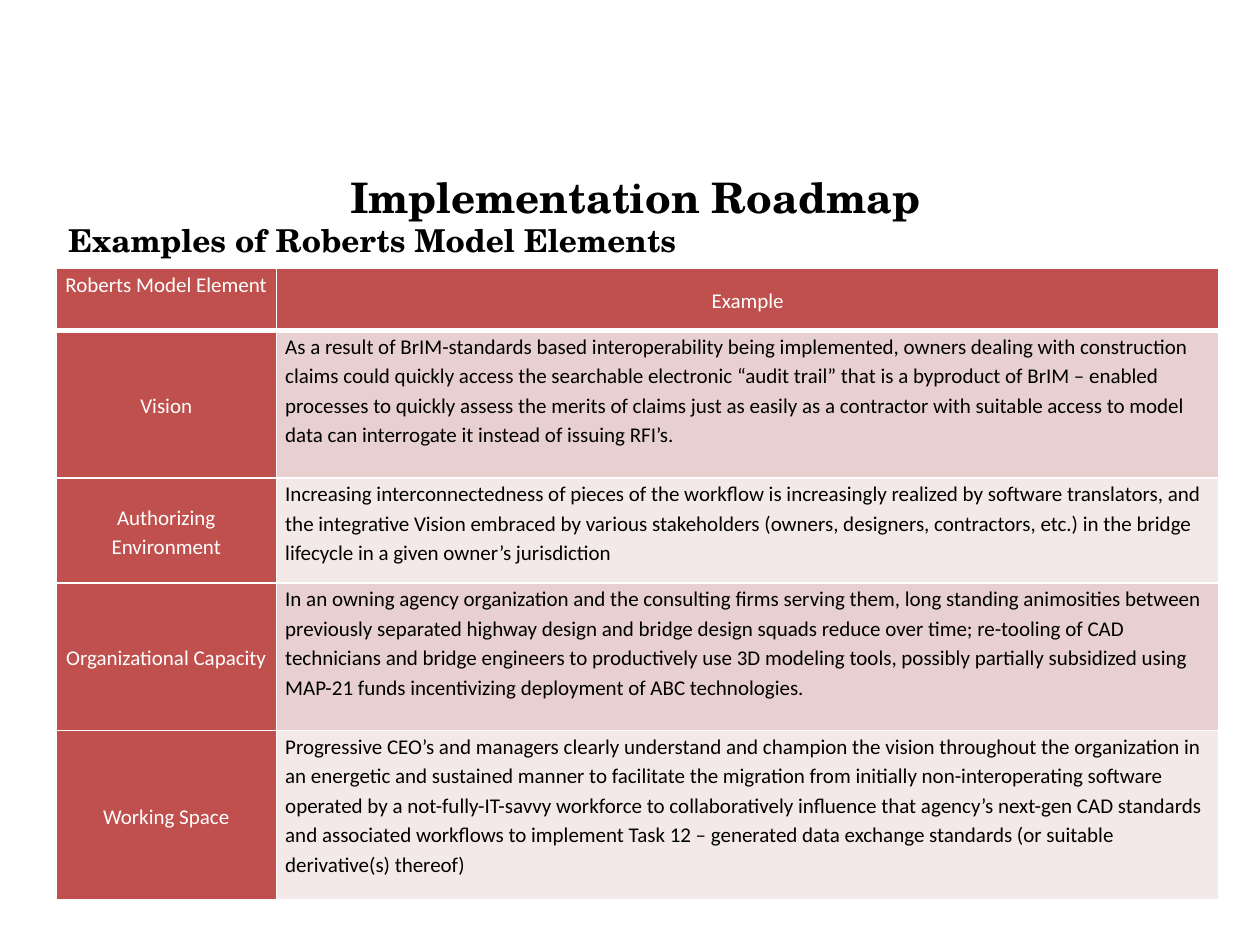
from dataclasses import dataclass

import pptx
import pptx.dml.color
import pptx.enum.text
import pptx.oxml
import pptx.oxml.ns
import pptx.util

Pt = pptx.util.Pt
ALIGN = pptx.enum.text.PP_ALIGN
ANCHOR = pptx.enum.text.MSO_ANCHOR

BLACK, WHITE, RED = "000000", "FFFFFF", "C0504D"
BANDS = ("E8D0D0", "F4E9E9")
HEADING_FONT, TABLE_FONT = "TeX Gyre Schola", "Calibri"


@dataclass
class Heading:
    text: str
    left: float
    top: float
    width: float
    height: float
    size: float
    align: ALIGN
    spacing: float


@dataclass
class Element:
    name: str
    example: str
    height: float


HEADINGS = [
    Heading("Implementation Roadmap", 48, 88.5, 630, 54, 24, ALIGN.CENTER, 1.2),
    Heading("Examples of Roberts Model Elements", 32, 122.5, 657, 29, 18, ALIGN.LEFT, 1.0),
]

ELEMENTS = [
    Element("Roberts Model Element", "Example", 35.5),
    Element(
        "Vision",
        "As a result of BrIM-standards based interoperability being implemented, owners "
        "dealing with construction claims could quickly access the searchable electronic "
        "“audit trail” that is a byproduct of BrIM – enabled processes to quickly assess "
        "the merits of claims just as easily as a contractor with suitable access to model "
        "data can interrogate it instead of issuing RFI’s.",
        84.3,
    ),
    Element(
        "Authorizing Environment",
        "Increasing interconnectedness of pieces of the workflow is increasingly realized "
        "by software translators, and the integrative Vision embraced by various "
        "stakeholders (owners, designers, contractors, etc.) in the bridge lifecycle in a "
        "given owner’s jurisdiction",
        60,
    ),
    Element(
        "Organizational Capacity",
        "In an owning agency organization and the consulting firms serving them, long "
        "standing animosities between previously separated highway design and bridge design "
        "squads reduce over time; re-tooling of CAD technicians and bridge engineers to "
        "productively use 3D modeling tools, possibly partially subsidized using MAP-21 "
        "funds incentivizing deployment of ABC technologies.",
        84.3,
    ),
    Element(
        "Working Space",
        "Progressive CEO’s and managers clearly understand and champion the vision "
        "throughout the organization in an energetic and sustained manner to facilitate the "
        "migration from initially non-interoperating software operated by a "
        "not-fully-IT-savvy workforce to collaboratively influence that agency’s next-gen "
        "CAD standards and associated workflows to implement Task 12 – generated data "
        "exchange standards (or suitable derivative(s) thereof)",
        96.5,
    ),
]
COLUMN_WIDTHS = (126, 538.5)


def colour(value: str) -> pptx.dml.color.RGBColor:
    return pptx.dml.color.RGBColor.from_string(value)


def apply(target, values: dict) -> None:
    for name, value in values.items():
        setattr(target, name, value)


def write(frame, text: str, font: dict, ink: str, align: ALIGN, spacing: float) -> None:
    para = frame.paragraphs[0]
    apply(para, {"alignment": align, "line_spacing": spacing})
    span = para.add_run()
    span.text = text
    apply(span.font, font)
    span.font.color.rgb = colour(ink)


def add_heading(page, heading: Heading) -> None:
    box = page.shapes.add_textbox(
        *map(Pt, (heading.left, heading.top, heading.width, heading.height)))
    box.text_frame.word_wrap = True
    font = {"name": HEADING_FONT, "size": Pt(heading.size), "bold": True}
    write(box.text_frame, heading.text, font, BLACK, heading.align, heading.spacing)


def add_borders(cell, bottom: float) -> None:
    properties = cell._tc.get_or_add_tcPr()
    widths = {"lnL": 1, "lnR": 1, "lnT": 1, "lnB": bottom}
    for position, (side, width) in enumerate(widths.items()):
        line = pptx.oxml.parse_xml(
            f'<a:{side} {pptx.oxml.ns.nsdecls("a")} w="{Pt(width)}">'
            f'<a:solidFill><a:srgbClr val="{WHITE}"/></a:solidFill></a:{side}>')
        properties.insert(position, line)


def fill_cell(cell, text: str, row: int, column: int) -> None:
    header = row == 0
    label = header or column == 0
    # The first header cell and the long examples hang from the top
    middle = label and (row, column) != (0, 0)
    apply(cell, {
        "margin_left": Pt(5), "margin_right": Pt(5),
        "margin_top": 0, "margin_bottom": 0,
        "vertical_anchor": ANCHOR.MIDDLE if middle else ANCHOR.TOP,
    })
    cell.fill.solid()
    cell.fill.fore_color.rgb = colour(RED if label else BANDS[(row - 1) % 2])
    font = {"name": TABLE_FONT, "size": Pt(12), "bold": False}
    write(cell.text_frame, text, font, WHITE if label else BLACK,
          ALIGN.CENTER if label else ALIGN.LEFT, 1.15)
    add_borders(cell, 3 if header else 1)


def add_element_table(page, left: float, top: float) -> None:
    height = sum(element.height for element in ELEMENTS)
    table = page.shapes.add_table(
        len(ELEMENTS), len(COLUMN_WIDTHS),
        Pt(left), Pt(top), Pt(sum(COLUMN_WIDTHS)), Pt(height)).table
    for column, width in zip(table.columns, COLUMN_WIDTHS):
        column.width = Pt(width)
    for row, element in enumerate(ELEMENTS):
        table.rows[row].height = Pt(element.height)
        for column, text in enumerate((element.name, element.example)):
            fill_cell(table.cell(row, column), text, row, column)


def main() -> None:
    deck = pptx.Presentation()
    apply(deck, {"slide_width": Pt(720), "slide_height": Pt(540)})
    page = deck.slides.add_slide(deck.slide_layouts[6])

    # Title and subtitle
    for heading in HEADINGS:
        add_heading(page, heading)

    # Model elements with their examples
    add_element_table(page, 32, 153.5)

    deck.save("out.pptx")


if __name__ == "__main__":
    main()
